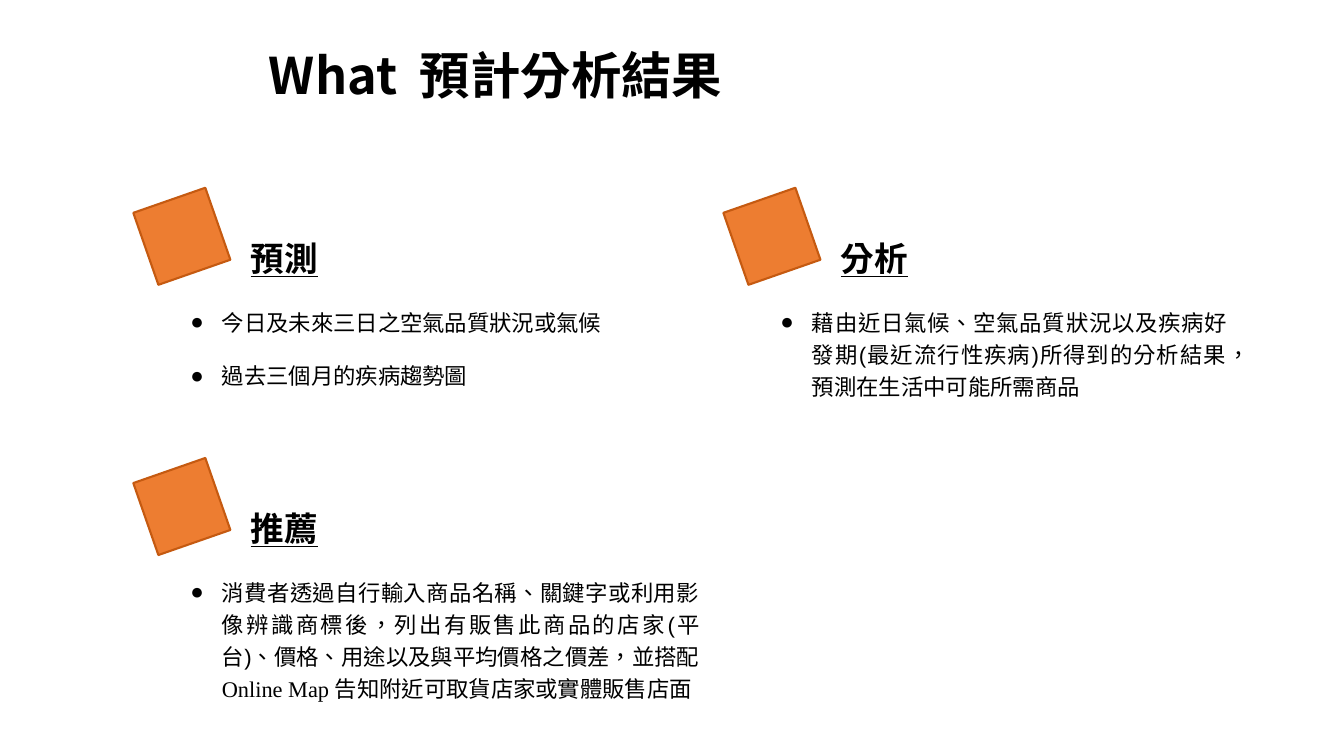
from lxml import etree
from pptx import Presentation
from pptx.dml.color import RGBColor
from pptx.enum.shapes import MSO_SHAPE
from pptx.enum.text import MSO_AUTO_SIZE, PP_ALIGN
from pptx.oxml.ns import qn
from pptx.util import Pt

DIAMOND = MSO_SHAPE.DIAMOND
JUSTIFY = PP_ALIGN.JUSTIFY
GROW = MSO_AUTO_SIZE.SHAPE_TO_FIT_TEXT

COLORS = {"ink": "000000", "marker": "ED7D31", "marker_edge": "C55A11"}
CJK, BODY, LATIN = "Noto Sans CJK SC", "Arial", "Times New Roman"
INDENT = 22.5


def color(name):
    return RGBColor.from_string(COLORS[name])


def add_text(paragraph, text, size=16, font=BODY, bold=None, underline=None, spacing=None):
    """Append one formatted run; spacing is extra points between characters."""
    run = paragraph.add_run()
    run.text = text
    run.font.size = Pt(size)
    run.font.name = font
    run.font.bold = bold
    run.font.underline = underline
    run.font.color.rgb = color("ink")
    properties = run._r.get_or_add_rPr()
    properties.set("lang", "zh-TW")
    if spacing:
        properties.set("spc", str(spacing * 100))
    east_asian = etree.Element(qn("a:ea"), typeface=CJK)
    properties.find(qn("a:latin")).addnext(east_asian)


class AnalysisSlide:
    def __init__(self, slide):
        self.shapes = slide.shapes

    def text_frame(self, left, top, width, height, wrap=True):
        box = self.shapes.add_textbox(Pt(left), Pt(top), Pt(width), Pt(height))
        frame = box.text_frame
        frame.word_wrap = wrap
        frame.auto_size = GROW
        return frame

    def title(self, lead, topic):
        paragraph = self.text_frame(185, 28, 353, 51, wrap=False).paragraphs[0]
        style = {"size": 36, "font": CJK, "bold": True}
        add_text(paragraph, lead, **style)
        add_text(paragraph, " ", spacing=8, **style)
        add_text(paragraph, topic, **style)

    def bullets(self, left, top, width, height, items):
        frame = self.text_frame(left, top, width, height)
        for index, (line_spacing, runs) in enumerate(items):
            paragraph = frame.add_paragraph() if index else frame.paragraphs[0]
            paragraph.alignment = JUSTIFY
            paragraph.line_spacing = line_spacing
            properties = paragraph._p.get_or_add_pPr()
            properties.set("marL", str(Pt(INDENT)))
            properties.set("indent", str(Pt(-INDENT)))
            etree.SubElement(properties, qn("a:buFont"), typeface=BODY)
            etree.SubElement(properties, qn("a:buChar"), char="●")
            for text, font in runs:
                add_text(paragraph, text, font=font)

    def heading(self, left, top, text):
        paragraph = self.text_frame(left, top, 73.5, 39).paragraphs[0]
        paragraph.alignment = JUSTIFY
        paragraph.line_spacing = 1.2
        add_text(paragraph, text, size=24, font=CJK, bold=True, underline=True)

    def marker(self, left, top):
        diamond = self.shapes.add_shape(DIAMOND, Pt(left), Pt(top), Pt(77), Pt(77))
        diamond.rotation = 25.8
        diamond.shadow.inherit = False
        diamond.fill.solid()
        diamond.fill.fore_color.rgb = color("marker")
        diamond.line.color.rgb = color("marker_edge")
        diamond.line.width = Pt(1.5)

    def section(self, left, top, name, width, height, items):
        self.bullets(left + 37.5, top + 82.8, width, height, items)
        self.heading(left + 80.6, top + 30.3, name)
        self.marker(left, top)


def main():
    deck = Presentation()
    deck.slide_width, deck.slide_height = Pt(960), Pt(540)
    page = AnalysisSlide(deck.slides.add_slide(deck.slide_layouts[6]))

    # Title
    page.title("What", "預計分析結果")

    # Sections: left, top, name, body width, body height, bullets
    left_column, right_column = 91.4, 512.9
    upper_row, lower_row = 130.3, 323.3
    sections = [
        (left_column, upper_row, "預測", 333.4, 63.4, [
            (1.2, [("今日及未來三日之空氣品質狀況或氣候", BODY)]),
            (2.0, [("過去三個月的疾病趨勢圖", BODY)]),
        ]),
        (right_column, upper_row, "分析", 333.4, 75, [
            (1.2, [("藉由近日氣候、空氣品質狀況以及疾病好發期(最近流行性疾病)"
                    "所得到的分析結果，預測在生活中可能所需商品", BODY)]),
        ]),
        (left_column, lower_row, "推薦", 378, 98.6, [
            (1.2, [("消費者透過自行輸入商品名稱、關鍵字或利用影像辨識商標後，"
                    "列出有販售此商品的店家(平台)、價格、用途以及與平均價格之價差，並搭配 ", BODY),
                   ("Online Map ", LATIN),
                   ("告知附近可取貨店家或實體販售店面", BODY)]),
        ]),
    ]
    for section in sections:
        page.section(*section)

    deck.save("out.pptx")


if __name__ == "__main__":
    main()
